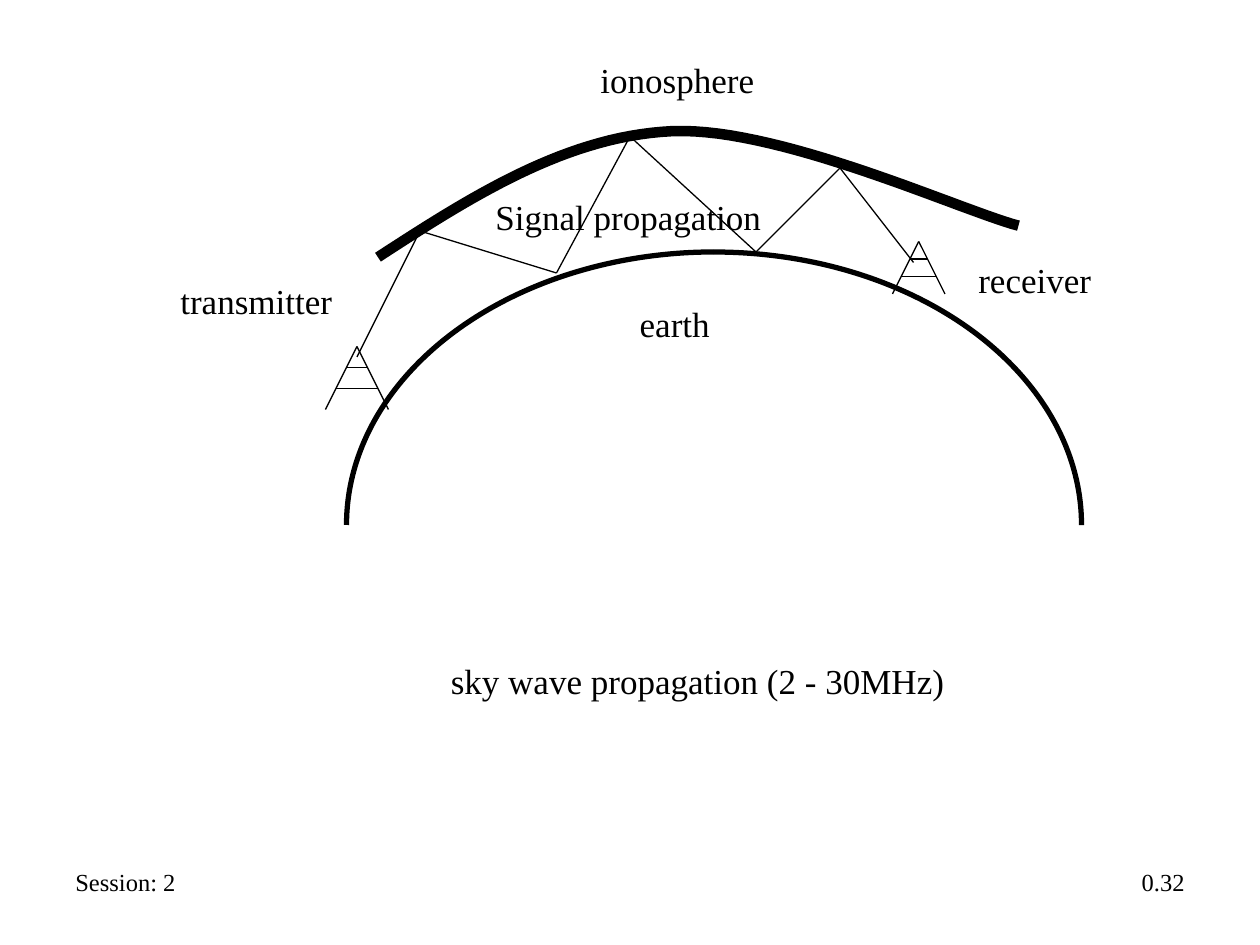
from dataclasses import dataclass
from itertools import pairwise

from lxml import etree
from pptx import Presentation
from pptx.dml.color import RGBColor
from pptx.enum import shapes, text
from pptx.oxml import ns
from pptx.util import Pt


@dataclass(frozen=True)
class Theme:
    ink: RGBColor = RGBColor(0, 0, 0)
    font: str = "Times New Roman"
    label: int = 20
    footer: int = 14
    thin: float = 0.75
    ground: float = 3
    sky: float = 6


T = Theme()
LEFT, RIGHT = text.PP_ALIGN.LEFT, text.PP_ALIGN.RIGHT


def add_text(s, words, x, y, w, h, size, align=LEFT, wrap=False):
    tf = s.add_textbox(Pt(x), Pt(y), Pt(w), Pt(h)).text_frame
    tf.word_wrap = wrap
    tf.auto_size = text.MSO_AUTO_SIZE.SHAPE_TO_FIT_TEXT
    p = tf.paragraphs[0]
    p.text = words
    p.alignment = align
    p.font.name = T.font
    p.font.size = Pt(size)
    p.font.color.rgb = T.ink


def set_outline(sp, width):
    sp.shadow.inherit = False
    sp.fill.background()
    sp.line.color.rgb = T.ink
    sp.line.width = Pt(width)


def add_line(s, start, end):
    c = s.add_connector(shapes.MSO_CONNECTOR.STRAIGHT, *map(Pt, (*start, *end)))
    c.line.color.rgb = T.ink
    c.line.width = Pt(T.thin)
    etree.SubElement(c._element.spPr, ns.qn("a:effectLst"))


def add_earth(s, x, y, w, h):
    g = s.add_group_shape().shapes
    for start, end in ((270, 360), (180, 270)):
        sp = g.add_shape(shapes.MSO_SHAPE.ARC, Pt(x), Pt(y), Pt(w), Pt(h))
        sp.adjustments[0] = start % 360 * 0.6
        sp.adjustments[1] = end % 360 * 0.6
        set_outline(sp, T.ground)


def add_tower(s, x, y, size):
    g = s.add_group_shape().shapes
    mid = x + size / 2
    add_line(g, (x, y + size), (mid, y))
    add_line(g, (mid, y), (x + size, y + size))
    for part in (2 / 3, 1 / 3):
        half = size * part / 2
        bar = y + size * part
        add_line(g, (mid - half, bar), (mid + half, bar))


def bezier(a, b, c, d, steps=30):
    for i in range(1, steps + 1):
        t = i / steps
        k = 1 - t
        yield tuple(
            k**3 * p + 3 * k * k * t * q + 3 * k * t * t * r + t**3 * v
            for p, q, r, v in zip(a, b, c, d)
        )


def add_ionosphere(s, x, y):
    start, crest, end = (0, 72), (168, 0), (366, 54)
    curve = [
        *bezier(start, (53.3, 37.4), (107.3, 2.8), crest),
        *bezier(crest, (229, -2.8), (333.4, 45.4), end),
    ]
    fb = s.build_freeform(0, Pt(start[1]), scale=1.0)
    fb.add_line_segments([(Pt(px), Pt(py)) for px, py in curve], close=False)
    set_outline(fb.convert_to_shape(Pt(x), Pt(y)), T.sky)


def add_signal(s, x, y):
    stops = [(0, 126), (36, 54), (114, 78), (156, 0), (228, 66), (276, 18), (318, 72)]
    for start, end in pairwise((x + px, y + py) for px, py in stops):
        add_line(s, start, end)


def add_diagram(s, x, y):
    add_earth(s, x + 102, y + 114, 420, 312)
    add_tower(s, x + 90, y + 168, 36)
    add_tower(s, x + 414, y + 108, 30)
    add_ionosphere(s, x + 120, y + 45)
    add_signal(s, x + 108, y + 48)
    labels = [
        ("transmitter", 0, 126, 102),
        ("receiver", 456, 114, 80),
        ("earth", 262.5, 139.5, 56),
        ("sky wave propagation (2 - 30MHz)", 154.5, 343.5, 298),
        ("ionosphere", 240, 0, 104),
        ("Signal propagation", 180, 78, 168),
    ]
    for words, dx, dy, w in labels:
        add_text(s, words, x + dx, y + dy, w, 31.5, T.label)


def add_footer(s, x, y, w, h):
    add_text(s, "Session: 2", x, y, 186, h, T.footer, wrap=True)
    add_text(s, "0.32", x + w - 168, y, 168, h, T.footer, RIGHT, True)


def main():
    prs = Presentation()
    prs.slide_width, prs.slide_height = Pt(720), Pt(540)
    s = prs.slides.add_slide(prs.slide_layouts[6]).shapes
    add_footer(s, 36, 492, 648, 24.5)
    add_diagram(s, 96, 30)
    prs.save("out.pptx")


if __name__ == "__main__":
    main()
